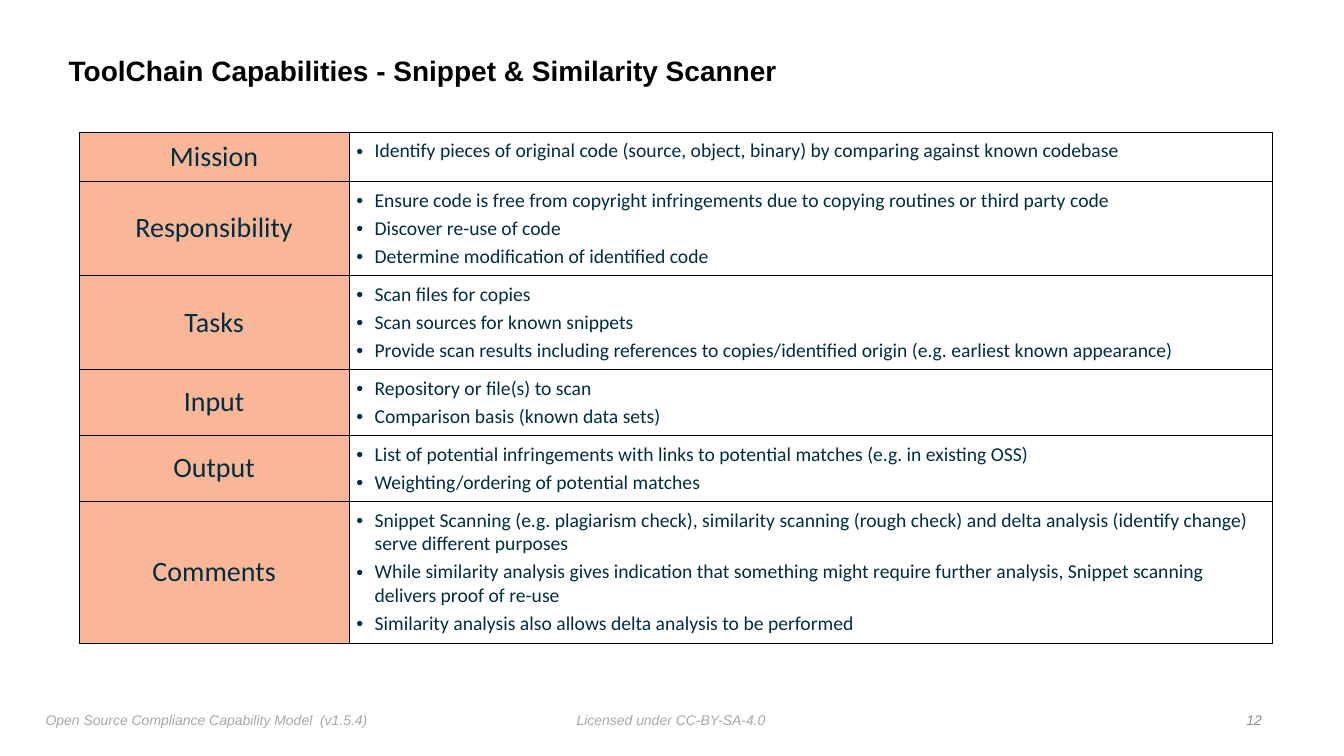
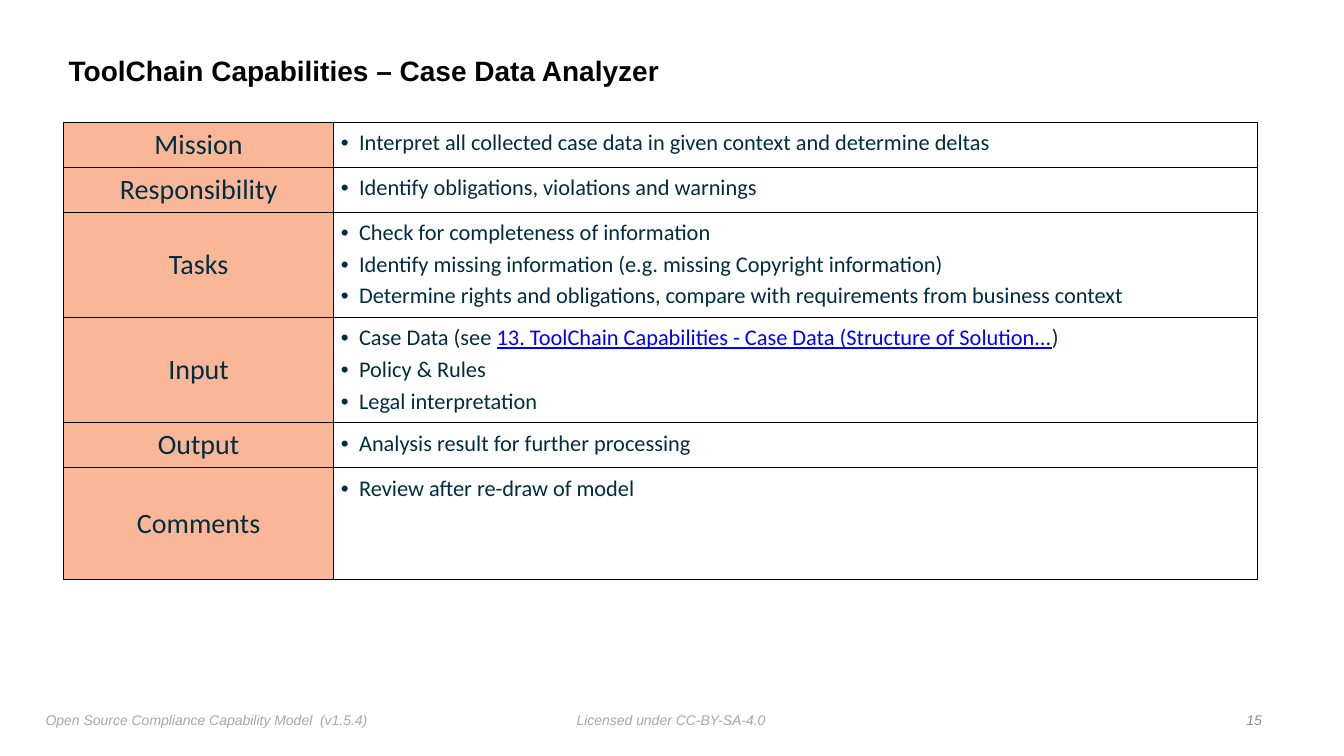
from lxml.etree import SubElement
from pptx import Presentation
from pptx.dml.color import RGBColor
from pptx.enum.text import MSO_ANCHOR, PP_ALIGN
from pptx.oxml.ns import qn
from pptx.util import Cm, Pt

TITLE = {"name": "Arial", "size": Pt(20), "bold": True, "color": "000000"}
FOOTER = {"name": "Arial", "size": Pt(10), "italic": True, "color": "A7A7A7"}
NUMBER = {**FOOTER, "color": "888C91"}
LABEL = {"name": "Calibri", "size": Pt(20), "color": "002D41"}
REFERENCE = {"color": "0000FF", "underline": True}
LABEL_FILL = "FAB798"
BORDER = "000000"
FOOTERS = [
    ("Licensed under CC-BY-SA-4.0", 14.4, 5.05),
    ("Open Source Compliance Capability Model  (v1.5.4)", 1.02, 8.43),
]
COLUMNS = [6.81, 23.27]
LABELS = ["Mission", "Responsibility", "Tasks", "Input", "Output", "Comments"]

SLIDES = [
    {
        "title": "ToolChain Capabilities - Snippet & Similarity Scanner",
        "number": "12",
        "left": 1.99,
        "top": 3.33,
        "size": 14,
        "heights": [1.24, 2.37, 2.37, 1.66, 1.66, 3.58],
        "bullets": [
            ["Identify pieces of original code (source, object, binary) by comparing against known codebase"],
            [
                "Ensure code is free from copyright infringements due to copying routines or third party code",
                "Discover re-use of code",
                "Determine modification of identified code",
            ],
            [
                "Scan files for copies",
                "Scan sources for known snippets",
                "Provide scan results including references to copies/identified origin "
                "(e.g. earliest known appearance)",
            ],
            ["Repository or file(s) to scan", "Comparison basis (known data sets)"],
            [
                "List of potential infringements with links to potential matches (e.g. in existing OSS)",
                "Weighting/ordering of potential matches",
            ],
            [
                "Snippet Scanning (e.g. plagiarism check), similarity scanning (rough check) "
                "and delta analysis (identify change) serve different purposes",
                "While similarity analysis gives indication that something might require "
                "further analysis, Snippet scanning delivers proof of re-use",
                "Similarity analysis also allows delta analysis to be performed",
            ],
        ],
    },
    {
        "title": "ToolChain Capabilities – Case Data Analyzer",
        "number": "15",
        "left": 1.6,
        "top": 3.07,
        "size": 16,
        "heights": [1.14, 1.14, 2.65, 2.65, 1.14, 2.82],
        "bullets": [
            ["Interpret all collected case data in given context and determine deltas"],
            ["Identify obligations, violations and warnings"],
            [
                "Check for completeness of information",
                "Identify missing information (e.g. missing Copyright information)",
                "Determine rights and obligations, compare with requirements from business context",
            ],
            [
                (
                    "Case Data (see ",
                    "13. ToolChain Capabilities - Case Data (Structure of Solution...",
                    ")",
                ),
                "Policy & Rules",
                "Legal interpretation",
            ],
            ["Analysis result for further processing"],
            ["Review after re-draw of model"],
        ],
    },
]


def rgb(value):
    return RGBColor.from_string(value)


def add_run(p, text, style):
    r = p.add_run()
    r.text = text
    for name, value in style.items():
        if name == "color":
            r.font.color.rgb = rgb(value)
        else:
            setattr(r.font, name, value)


def set_margins(target, margin):
    for side in ("left", "right", "top", "bottom"):
        setattr(target, f"margin_{side}", Cm(margin))


def add_title(s, text):
    sp = s.shapes.title
    sp.left, sp.top, sp.width, sp.height = Cm(1.6), Cm(0.99), Cm(27.3), Cm(1.65)
    tf = sp.text_frame
    tf.vertical_anchor = MSO_ANCHOR.MIDDLE
    set_margins(tf, 0.13)
    p = tf.paragraphs[0]
    p.alignment = PP_ALIGN.LEFT
    p.line_spacing = 0.9
    add_run(p, text, TITLE)


def add_small_text(s, text, left, width, style, align=PP_ALIGN.LEFT):
    tf = s.shapes.add_textbox(Cm(left), Cm(17.81), Cm(width), Cm(0.65)).text_frame
    tf.word_wrap = False
    set_margins(tf, 0.13)
    p = tf.paragraphs[0]
    p.alignment = align
    add_run(p, text, style)


def add_borders(cell):
    tc_pr = cell._tc.get_or_add_tcPr()
    for side in ("lnL", "lnR", "lnT", "lnB"):
        line = SubElement(tc_pr, qn(f"a:{side}"), w=str(Pt(0.5)))
        fill = SubElement(line, qn("a:solidFill"))
        SubElement(fill, qn("a:srgbClr"), val=BORDER)


def fill_label(cell, text):
    add_borders(cell)
    cell.fill.solid()
    cell.fill.fore_color.rgb = rgb(LABEL_FILL)
    cell.vertical_anchor = MSO_ANCHOR.MIDDLE
    set_margins(cell, 0)
    p = cell.text_frame.paragraphs[0]
    p.alignment = PP_ALIGN.CENTER
    add_run(p, text, LABEL)


def add_bullet(p):
    p_pr = p._p.get_or_add_pPr()
    p_pr.set("marL", str(Cm(0.46)))
    p_pr.set("indent", str(-Cm(0.46)))
    SubElement(p_pr, qn("a:buFont"), typeface="Arial")
    SubElement(p_pr, qn("a:buChar"), char="•")


def fill_bullets(cell, bullets, size):
    add_borders(cell)
    cell.fill.background()
    set_margins(cell, 0.18)
    tf = cell.text_frame
    style = {**LABEL, "size": Pt(size)}
    for i, bullet in enumerate(bullets):
        p = tf.add_paragraph() if i else tf.paragraphs[0]
        add_bullet(p)
        p.space_before = Pt(3 if i else 0)
        parts = (bullet,) if isinstance(bullet, str) else bullet
        for j, part in enumerate(parts):
            add_run(p, part, {**style, **REFERENCE} if j == 1 else style)


def add_capability_table(s, left, top, heights, bullets, size):
    frame = s.shapes.add_table(
        len(LABELS), len(COLUMNS), Cm(left), Cm(top), Cm(sum(COLUMNS)), Cm(sum(heights))
    )
    table = frame.table
    table.first_row = table.horz_banding = False
    for column, width in zip(table.columns, COLUMNS):
        column.width = Cm(width)
    for row, height, label, items in zip(table.rows, heights, LABELS, bullets):
        row.height = Cm(height)
        fill_label(row.cells[0], label)
        fill_bullets(row.cells[1], items, size)


def main():
    prs = Presentation()
    prs.slide_width, prs.slide_height = Cm(33.87), Cm(19.05)
    for content in SLIDES:
        s = prs.slides.add_slide(prs.slide_layouts[5])
        for text, left, width in FOOTERS:
            add_small_text(s, text, left, width, FOOTER)
        add_title(s, content["title"])
        add_capability_table(
            s, *(content[key] for key in ("left", "top", "heights", "bullets", "size"))
        )
        add_small_text(s, content["number"], 31.26, 0.67, NUMBER, PP_ALIGN.RIGHT)
    prs.save("out.pptx")


if __name__ == "__main__":
    main()
